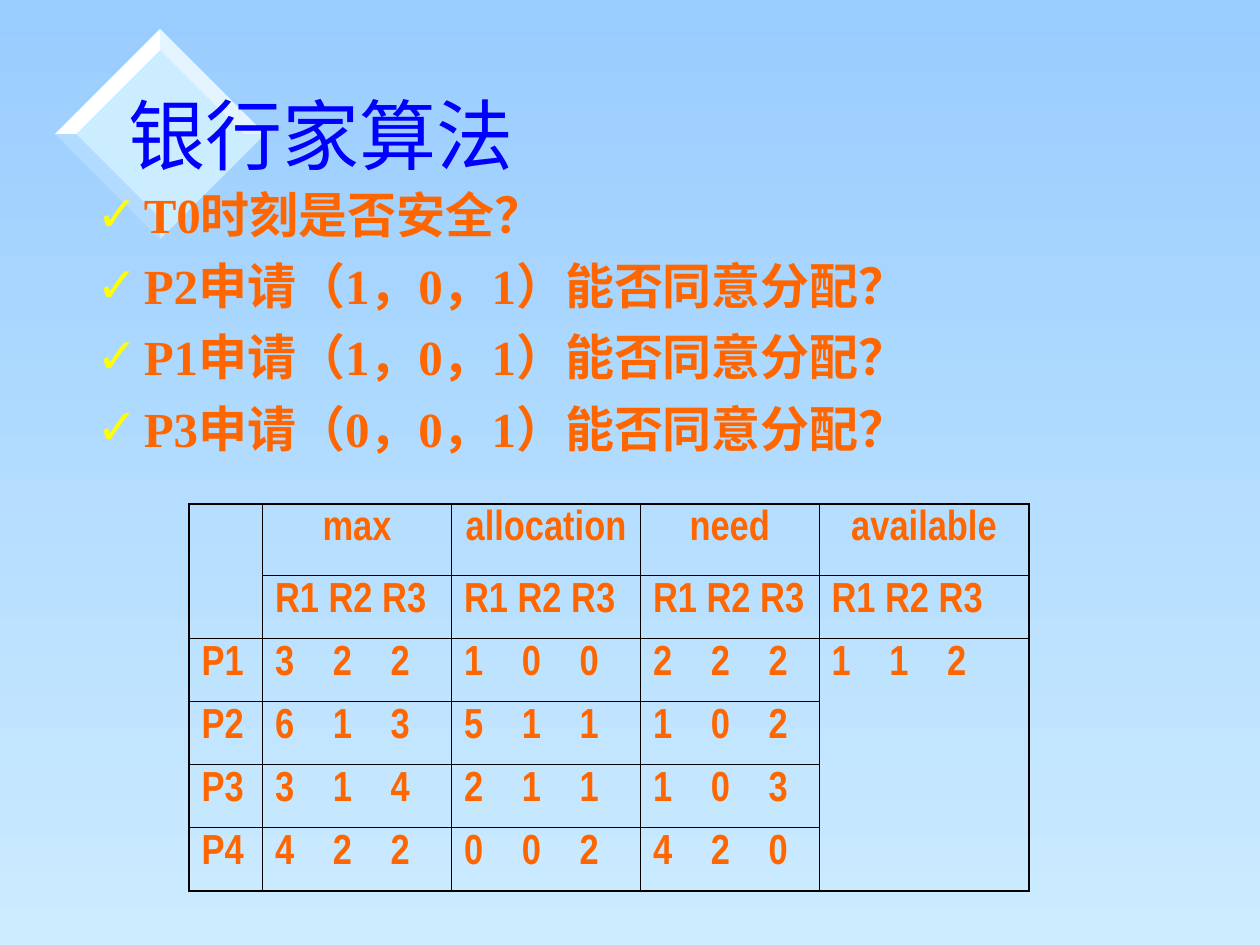
"""Build the slide on the banker's algorithm with its resource table."""
from dataclasses import dataclass

from lxml import etree
from pptx import Presentation
from pptx import util as u
from pptx.dml.color import RGBColor
from pptx.enum import text
from pptx.oxml.ns import qn

Pt = u.Pt
BLUE = RGBColor(0x00, 0x00, 0xFF)
ORANGE = RGBColor(0xFF, 0x66, 0x00)
YELLOW = RGBColor(0xFF, 0xFF, 0x00)
SKY = RGBColor(0x99, 0xCC, 0xFF)
ICE = RGBColor(0xCC, 0xEC, 0xFF)
WHITE = RGBColor(0xFF, 0xFF, 0xFF)
BLACK = RGBColor(0x00, 0x00, 0x00)

CENTRE_X, CENTRE_Y, OUTER, INNER = 91.5, 76.6, 60, 48
THIN, THICK = 0.45, 1.08
DIGIT_STOPS = (33, 66)
COLUMN_WIDTHS = (42, 108, 108, 102, 120)
ROW_HEIGHTS = (41, 36, 36, 36, 36, 36)

TITLE_FONT = {"name": "Times New Roman", "size": Pt(44), "bold": False}
QUESTION_FONT = {"name": "Times New Roman", "size": Pt(28), "bold": True}
TABLE_FONT = {"name": "Arial Narrow", "size": Pt(24), "bold": True}

QUESTIONS = (
    "T0时刻是否安全？",
    "P2申请（1，0，1）能否同意分配？",
    "P1申请（1，0，1）能否同意分配？",
    "P3申请（0，0，1）能否同意分配？",
)
RESOURCES = "R1 R2 R3"
ALLOCATION_ROWS = (
    ("", "max", "allocation", "need", "available"),
    ("", RESOURCES, RESOURCES, RESOURCES, RESOURCES),
    ("P1", "3\t2\t2", "1\t0\t0", "2\t2\t2", "1\t1\t2"),
    ("P2", "6\t1\t3", "5\t1\t1", "1\t0\t2", ""),
    ("P3", "3\t1\t4", "2\t1\t1", "1\t0\t3", ""),
    ("P4", "4\t2\t2", "0\t0\t2", "4\t2\t0", ""),
)


@dataclass(frozen=True)
class Bevel:
    """One sloping edge of the diamond, between two of its corners."""
    start: tuple[int, int]
    end: tuple[int, int]
    colour: RGBColor
    opacity: int = 100


TOP, RIGHT, BOTTOM, LEFT = (0, -1), (1, 0), (0, 1), (-1, 0)
BEVELS = (
    Bevel(TOP, RIGHT, WHITE, 50),
    Bevel(LEFT, TOP, WHITE),
    Bevel(RIGHT, BOTTOM, ICE, 50),
    Bevel(BOTTOM, LEFT, SKY, 50),
)


def corner(direction: tuple[int, int], radius: float) -> tuple[int, int]:
    """Return the diamond corner at a distance from the centre."""
    return Pt(CENTRE_X + direction[0] * radius), Pt(CENTRE_Y + direction[1] * radius)


def apply(target, values: dict) -> None:
    """Set each attribute named in the values."""
    for name, value in values.items():
        setattr(target, name, value)


def style_runs(paragraph, font: dict, colour: RGBColor) -> None:
    """Format every run of a paragraph."""
    for run in paragraph.runs:
        apply(run.font, font)
        run.font.color.rgb = colour


def draw_facet(group, corners: list, colour: RGBColor, opacity: int = 100) -> None:
    """Draw one flat face of the diamond."""
    builder = group.shapes.build_freeform(*corners[0])
    builder.add_line_segments(corners[1:], close=True)
    facet = builder.convert_to_shape()
    facet.shadow.inherit = False
    facet.line.fill.background()
    facet.fill.solid()
    facet.fill.fore_color.rgb = colour
    if opacity < 100:
        tint = facet.element.spPr.find(qn("a:solidFill"))[0]
        etree.SubElement(tint, qn("a:alpha"), val=str(opacity * 1000))


def draw_diamond(slide) -> None:
    """Draw the bevelled diamond behind the title."""
    diamond = slide.shapes.add_group_shape()
    draw_facet(diamond, [corner(d, OUTER) for d in (TOP, LEFT, BOTTOM, RIGHT)], ICE)
    for bevel in BEVELS:
        corners = [corner(bevel.start, INNER), corner(bevel.start, OUTER),
                   corner(bevel.end, OUTER), corner(bevel.end, INNER)]
        draw_facet(diamond, corners, bevel.colour, bevel.opacity)
    slide.shapes.title.element.addprevious(diamond.element)


def fill_title(title) -> None:
    """Place and format the title."""
    apply(title, {"left": Pt(66), "top": Pt(33), "width": Pt(613), "height": Pt(87)})
    title.text_frame.text = "银行家算法"
    apply(title.text_frame, {"auto_size": text.MSO_AUTO_SIZE.NONE,
                             "vertical_anchor": text.MSO_ANCHOR.MIDDLE})
    heading = title.text_frame.paragraphs[0]
    heading.alignment = text.PP_ALIGN.LEFT
    style_runs(heading, TITLE_FONT, BLUE)


def fill_questions(body) -> None:
    """Place the check-marked questions."""
    apply(body, {"left": Pt(48), "top": Pt(102), "width": Pt(642), "height": Pt(168)})
    body.text_frame.text = "\n".join(QUESTIONS)
    body.text_frame.auto_size = text.MSO_AUTO_SIZE.NONE
    for question in body.text_frame.paragraphs:
        question.space_before = Pt(7)
        style_runs(question, QUESTION_FONT, ORANGE)
        properties = question._p.get_or_add_pPr()
        properties.set("marL", str(Pt(27)))
        properties.set("indent", str(Pt(-27)))
        bullet_colour = etree.SubElement(properties, qn("a:buClr"))
        etree.SubElement(bullet_colour, qn("a:srgbClr"), val=str(YELLOW))
        etree.SubElement(properties, qn("a:buChar"), char="✓")


def set_borders(cell, widths: dict[str, float]) -> None:
    """Give each side of a cell a black line."""
    properties = cell._tc.get_or_add_tcPr()
    for position, (side, width) in enumerate(widths.items()):
        line = etree.Element(qn(f"a:ln{side}"), w=str(Pt(width)))
        fill = etree.SubElement(line, qn("a:solidFill"))
        etree.SubElement(fill, qn("a:srgbClr"), val=str(BLACK))
        properties.insert(position, line)


def fill_cell(cell, content: str, centred: bool) -> None:
    """Write one table entry, with digits set on tab stops."""
    cell.text = content
    entry = cell.text_frame.paragraphs[0]
    entry.space_before = Pt(6)
    entry.alignment = text.PP_ALIGN.CENTER if centred else text.PP_ALIGN.LEFT
    style_runs(entry, TABLE_FONT, ORANGE)
    if "\t" in content:
        stops = etree.SubElement(entry._p.get_or_add_pPr(), qn("a:tabLst"))
        for stop in DIGIT_STOPS:
            etree.SubElement(stops, qn("a:tab"), pos=str(Pt(stop)), algn="l")


def draw_allocation_table(slide) -> None:
    """Draw the table of maximum, allocated, needed and available resources."""
    last_row, last_column = len(ROW_HEIGHTS) - 1, len(COLUMN_WIDTHS) - 1
    table = slide.shapes.add_table(
        len(ROW_HEIGHTS), len(COLUMN_WIDTHS), Pt(108), Pt(288),
        Pt(sum(COLUMN_WIDTHS)), Pt(sum(ROW_HEIGHTS))).table
    apply(table, {"first_row": False, "horz_banding": False})
    for column, width in zip(table.columns, COLUMN_WIDTHS):
        column.width = Pt(width)
    for row, height in zip(table.rows, ROW_HEIGHTS):
        row.height = Pt(height)
    table.cell(0, 0).merge(table.cell(1, 0))
    table.cell(2, last_column).merge(table.cell(last_row, last_column))
    for r, entries in enumerate(ALLOCATION_ROWS):
        for c, content in enumerate(entries):
            cell = table.cell(r, c)
            cell.fill.background()
            if cell.is_spanned:
                continue
            fill_cell(cell, content, centred=r == 0)
            set_borders(cell, {
                "L": THICK if c == 0 else THIN,
                "R": THICK if c == last_column else THIN,
                "T": THICK if r == 0 else THIN,
                "B": THICK if r + cell.span_height > last_row else THIN,
            })


def main() -> None:
    """Assemble and save the slide."""
    deck = Presentation()
    apply(deck, {"slide_width": Pt(720), "slide_height": Pt(540)})
    slide = deck.slides.add_slide(deck.slide_layouts[1])
    backdrop = slide.background.fill
    backdrop.gradient()
    backdrop.gradient_angle = 270
    for stop, colour in zip(backdrop.gradient_stops, (SKY, ICE)):
        stop.color.rgb = colour
    fill_title(slide.shapes.title)
    fill_questions(slide.placeholders[1])
    draw_diamond(slide)
    draw_allocation_table(slide)
    deck.save("out.pptx")


if __name__ == "__main__":
    main()
